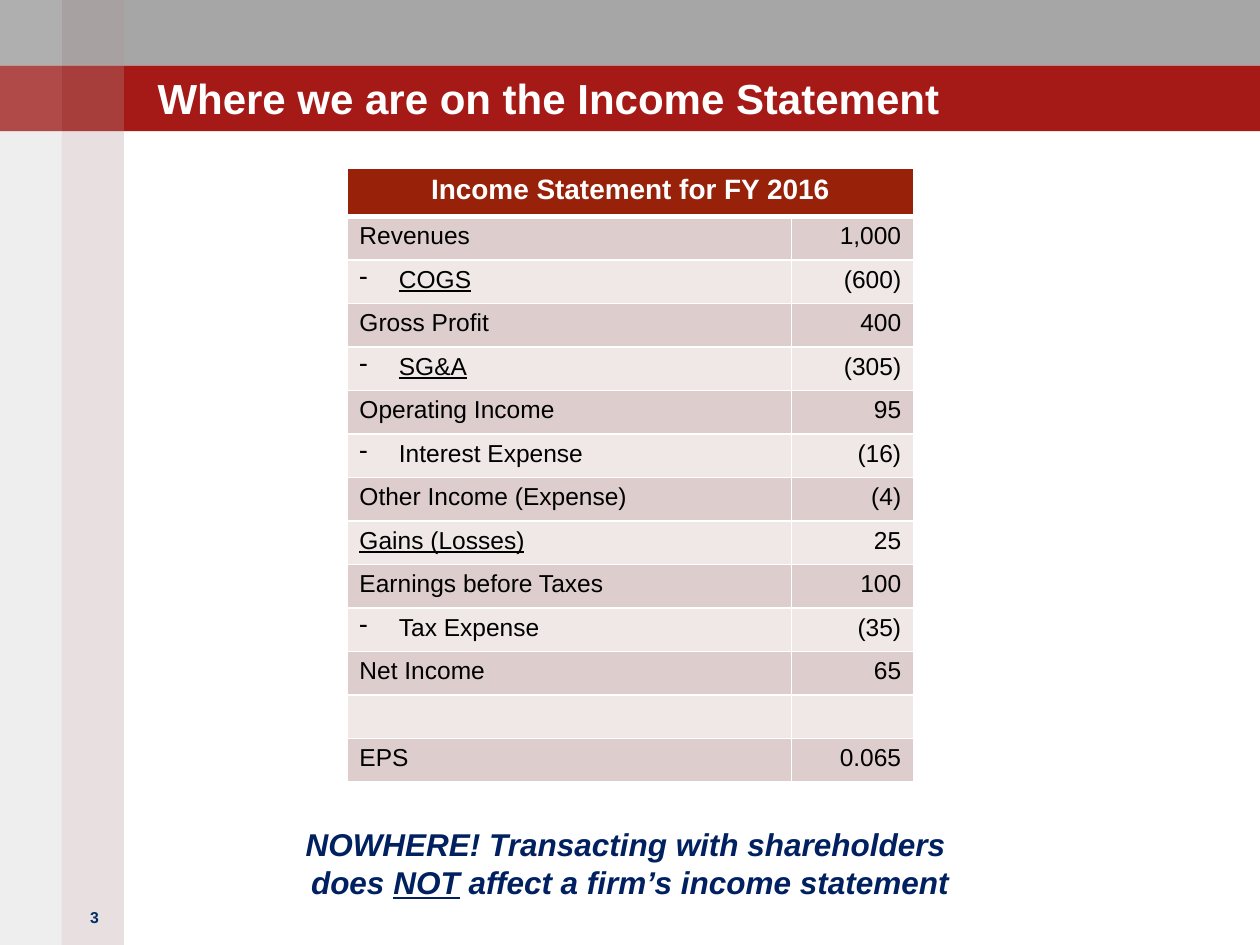
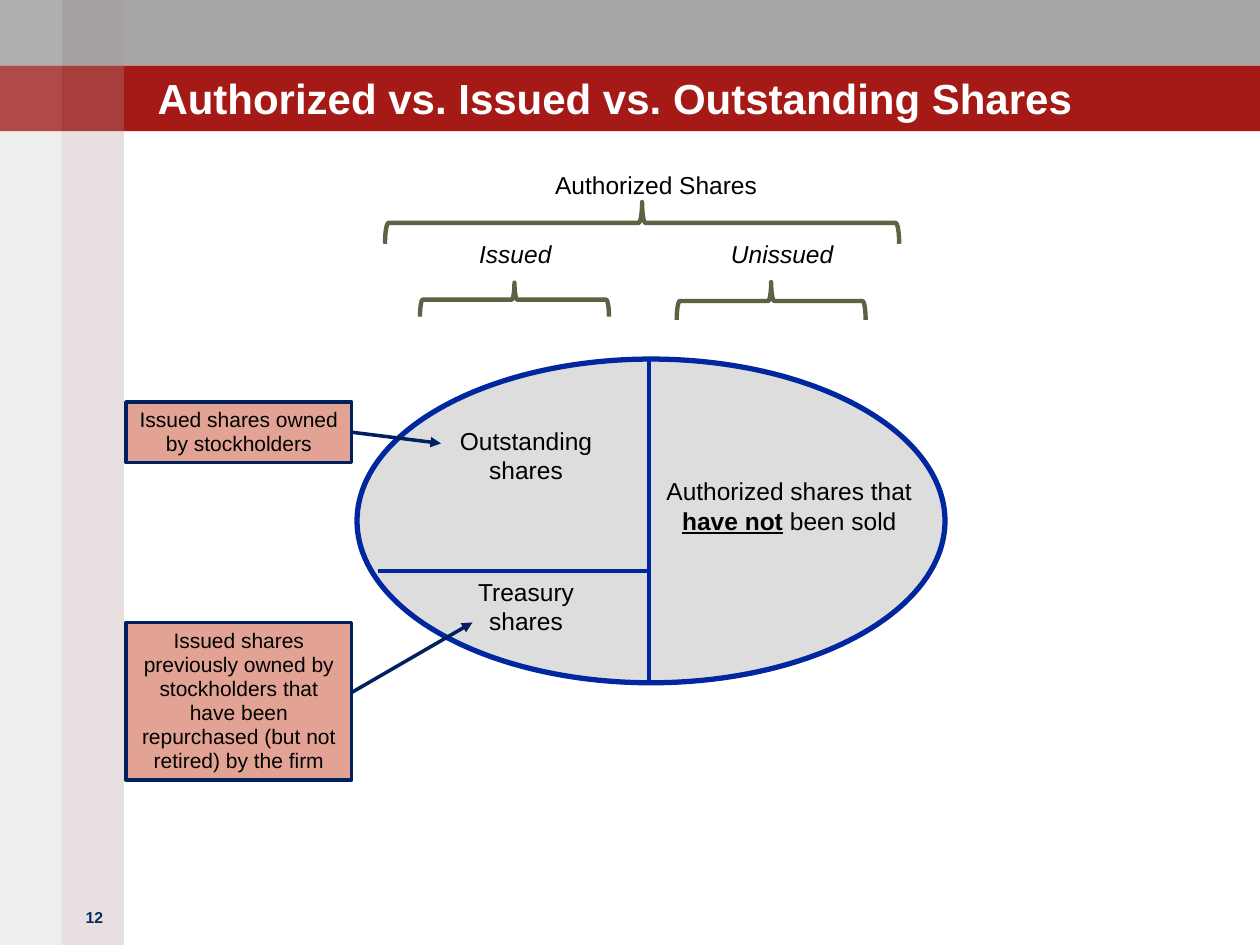
from lxml.etree import SubElement
from pptx import Presentation
from pptx.dml.color import RGBColor
from pptx.enum.shapes import MSO_CONNECTOR, MSO_SHAPE
from pptx.enum.text import MSO_ANCHOR, PP_ALIGN
from pptx.oxml.ns import qn
from pptx.util import Pt

COLORS = {
    "gray": "A6A6A6", "red": "A51A17", "mauve": "A08284", "stone": "938F8F",
    "white": "FFFFFF", "black": "000000", "number": "002E62", "navy": "002060",
    "header": "972109", "row_dark": "DDCDCC", "row_light": "EFE8E7",
    "oval": "DDDDDD", "blue": "00279F", "olive": "5A6343", "salmon": "E2A294",
}
TITLE = {"size": 24, "bold": True, "color": "white"}
NUMBER = {"size": 9, "bold": True, "color": "number"}
HEADER = {"size": 16, "bold": True, "color": "white"}
BODY = {"size": 14, "bold": False, "color": "black"}
NOTE = {"size": 12, "color": "black"}
REMARK = {"size": 18, "bold": True, "italic": True, "color": "navy"}
UNDERLINE = {"underline": True}

STATEMENT = [
    ("Revenues", "1,000", ""), ("COGS", "(600)", "-u"),
    ("Gross Profit", "400", ""), ("SG&A", "(305)", "-u"),
    ("Operating Income", "95", ""), ("Interest Expense", "(16)", "-"),
    ("Other Income (Expense)", "(4)", ""), ("Gains (Losses)", "25", "u"),
    ("Earnings before Taxes", "100", ""), ("Tax Expense", "(35)", "-"),
    ("Net Income", "65", ""), ("", "", ""), ("EPS", "0.065", ""),
]


def rgb(name):
    """Return the named palette colour."""
    return RGBColor.from_string(COLORS[name])


def add_run(p, text, fmt):
    """Add a run in Arial with the given format values."""
    r = p.add_run()
    r.text = text
    r.font.name = "Arial"
    for key, value in fmt.items():
        if key == "color":
            r.font.color.rgb = rgb(value)
        else:
            setattr(r.font, key, Pt(value) if key == "size" else value)


def write(tf, paragraphs, fmt, align=PP_ALIGN.CENTER, spacing=None):
    """Fill a text frame with paragraphs, each a list of (text, extra format)."""
    tf.word_wrap = True
    for i, runs in enumerate(paragraphs):
        p = tf.add_paragraph() if i else tf.paragraphs[0]
        p.alignment = align
        if spacing:
            p.line_spacing = spacing
        for text, extra in runs:
            add_run(p, text, {**fmt, **extra})


def add_text(s, box, paragraphs, fmt, align=PP_ALIGN.CENTER):
    """Add a text box and return its text frame."""
    tf = s.shapes.add_textbox(*map(Pt, box)).text_frame
    write(tf, paragraphs, fmt, align)
    return tf


def add_box(s, kind, box, fill=None, line=None, width=0, opacity=None):
    """Add a flat preset shape with optional fill, outline and opacity."""
    sp = s.shapes.add_shape(kind, *map(Pt, box))
    sp.shadow.inherit = False
    if fill:
        sp.fill.solid()
        sp.fill.fore_color.rgb = rgb(fill)
    else:
        sp.fill.background()
    if line:
        sp.line.color.rgb = rgb(line)
        sp.line.width = Pt(width)
    else:
        sp.line.fill.background()
    if opacity:
        clr = sp.fill._xPr.find(qn("a:solidFill"))[0]
        SubElement(clr, qn("a:alpha"), val=str(opacity * 1000))
    return sp


def add_line(s, start, end, color, arrow=False):
    """Add a straight line, with an arrowhead at its end if asked."""
    c = s.shapes.add_connector(MSO_CONNECTOR.STRAIGHT, *map(Pt, (*start, *end)))
    c.line.color.rgb = rgb(color)
    c.line.width = Pt(2)
    if arrow:
        SubElement(c.line._get_or_add_ln(), qn("a:tailEnd"), type="triangle")
    SubElement(c._element.spPr, qn("a:effectLst"))


def add_brace(s, box):
    """Add a brace pointing up that fills the given box."""
    x, y, w, h = box
    turned = (x + (w - h) / 2, y + (h - w) / 2, h, w)
    sp = add_box(s, MSO_SHAPE.RIGHT_BRACE, turned, line="olive", width=2.5)
    sp.rotation = 270


def add_frame(s, box, title, number):
    """Draw the bands, side stripes, title and slide number."""
    x, y, w, h = box
    band, stripe = 37.5, 35.4
    for i, color in enumerate(("gray", "red")):
        add_box(s, MSO_SHAPE.RECTANGLE, (x, y + i * band, w, band), color)
    for i, (color, opacity, tint) in enumerate((("stone", 15, 15), ("mauve", 25, 5))):
        left = x + i * stripe
        add_box(s, MSO_SHAPE.RECTANGLE, (left, y, stripe, h), color, opacity=opacity)
        for j in range(2):
            patch = (left, y + j * band, stripe, band)
            add_box(s, MSO_SHAPE.RECTANGLE, patch, "white", opacity=tint)
    tf = add_text(s, (x + 90, y + 22.3, 600, 48.2), [[(title, {})]], TITLE, PP_ALIGN.LEFT)
    tf.vertical_anchor = MSO_ANCHOR.BOTTOM
    for side in ("left", "top", "right", "bottom"):
        setattr(tf, f"margin_{side}", 0)
    add_text(s, (x + 36, y + 515, 36, 20), [[(number, {})]], NUMBER)


def style_cell(cell, fill, bottom=1):
    """Set the fill and white borders of a table cell."""
    cell.fill.solid()
    cell.fill.fore_color.rgb = rgb(fill)
    tcPr = cell._tc.get_or_add_tcPr()
    for i, side in enumerate("LRTB"):
        width = Pt(bottom if side == "B" else 1)
        ln = SubElement(tcPr, qn(f"a:ln{side}"), w=str(width))
        clr = SubElement(SubElement(ln, qn("a:solidFill")), qn("a:srgbClr"))
        clr.set("val", COLORS["white"])
        tcPr.insert(i, ln)


def add_statement(s, box):
    """Add the income statement table."""
    x, y, w, h = box
    head = 27.4
    table = s.shapes.add_table(len(STATEMENT) + 1, 2, *map(Pt, box)).table
    for col, width in zip(table.columns, (w - 70, 70)):
        col.width = Pt(width)
    for i, row in enumerate(table.rows):
        row.height = Pt((h - head) / len(STATEMENT) if i else head)
    for cell in table.rows[0].cells:
        style_cell(cell, "header", bottom=3)
    table.cell(0, 0).merge(table.cell(0, 1))
    write(table.cell(0, 0).text_frame, [[("Income Statement for FY 2016", {})]], HEADER)
    for i, (label, value, marks) in enumerate(STATEMENT, 1):
        extra = UNDERLINE if "u" in marks else {}
        entries = ((label, extra, PP_ALIGN.LEFT), (value, {}, PP_ALIGN.RIGHT))
        for j, (text, style, align) in enumerate(entries):
            cell = table.cell(i, j)
            style_cell(cell, "row_dark" if i % 2 else "row_light")
            runs = [(text, style)] if text else []
            write(cell.text_frame, [runs], BODY, align)
            if not text:
                p = cell.text_frame.paragraphs[0]._p
                SubElement(p, qn("a:endParaRPr"), sz="1400")
        if "-" in marks:
            pPr = table.cell(i, 0).text_frame.paragraphs[0]._p.get_or_add_pPr()
            pPr.set("marL", str(Pt(22.5)))
            pPr.set("indent", str(-Pt(22.5)))
            SubElement(pPr, qn("a:buChar"), char="-")


def add_remark(s, box):
    """Add the conclusion below the table."""
    add_text(s, box, [
        [("NOWHERE! Transacting with shareholders ", {})],
        [("does ", {}), ("NOT", UNDERLINE), (" affect a firm’s income statement", {})],
    ], REMARK)


def add_headings(s, box):
    """Add the share class headings, each above its brace."""
    x, y, w, h = box
    italic = {"italic": True}
    for text, fmt, center, top in (("Authorized Shares", {}, 155, 0),
                                   ("Issued", italic, 74.5, 39.5),
                                   ("Unissued", italic, 227, 39.5)):
        add_text(s, (x + center - 75, y + top, 150, 23), [[(text, fmt)]], BODY)
    add_brace(s, (x, y + 22, w, 23.8))
    add_brace(s, (x + 20, y + 68, 108, 19.4))
    add_brace(s, (x + 166.7, y + 67.7, 108, 21.6))


def add_oval(s, box):
    """Add the oval split into outstanding, treasury and unissued shares."""
    x, y, w, h = box
    split, level = x + 166.8, y + 121
    add_box(s, MSO_SHAPE.OVAL, box, "oval", "blue", 3)
    for text, top in (("Outstanding shares", y + 34.6), ("Treasury shares", level)):
        add_text(s, (x + 48, top, 97.2, 41), [[(text, {})]], BODY)
    add_text(s, (x + 168.2, y + 63.4, 157.7, 41), [[
        ("Authorized shares that ", {}),
        ("have not", {"bold": True, **UNDERLINE}),
        (" been sold", {}),
    ]], BODY)
    add_line(s, (split, y), (split, y + h), "blue")
    add_line(s, (split, level), (x + 12, level), "blue")


def add_callout(s, box, text, target):
    """Add an explanation box with an arrow to its target."""
    x, y, w, h = box
    sp = add_box(s, MSO_SHAPE.RECTANGLE, box, "salmon", "navy", 2)
    write(sp.text_frame, [[(text, {})]], NOTE, spacing=0.95)
    add_line(s, (x + w, y + h / 2 - (5 if h > 50 else 0)), target, "navy", arrow=True)


def main():
    """Build both slides and save the deck."""
    prs = Presentation()
    prs.slide_width, prs.slide_height = Pt(720), Pt(540)
    page = (0, 0, 720, 540)

    s = prs.slides.add_slide(prs.slide_layouts[6])
    add_frame(s, page, "Where we are on the Income Statement", "3")
    add_statement(s, (198.2, 96.2, 324, 350.6))
    add_remark(s, (120, 468, 480, 51))

    s = prs.slides.add_slide(prs.slide_layouts[6])
    add_frame(s, page, "Authorized vs. Issued vs. Outstanding Shares", "12")
    add_headings(s, (220, 93.5, 293.8, 90))
    add_oval(s, (204, 205.2, 336, 185))
    add_callout(s, (72, 229.7, 129, 34.6), "Issued shares owned by stockholders", (252, 253.4))
    add_callout(s, (72, 355.7, 129, 90),
                "Issued shares previously owned by stockholders that have been "
                "repurchased (but not retired) by the firm", (270, 355.7))
    prs.save("out.pptx")


if __name__ == "__main__":
    main()
